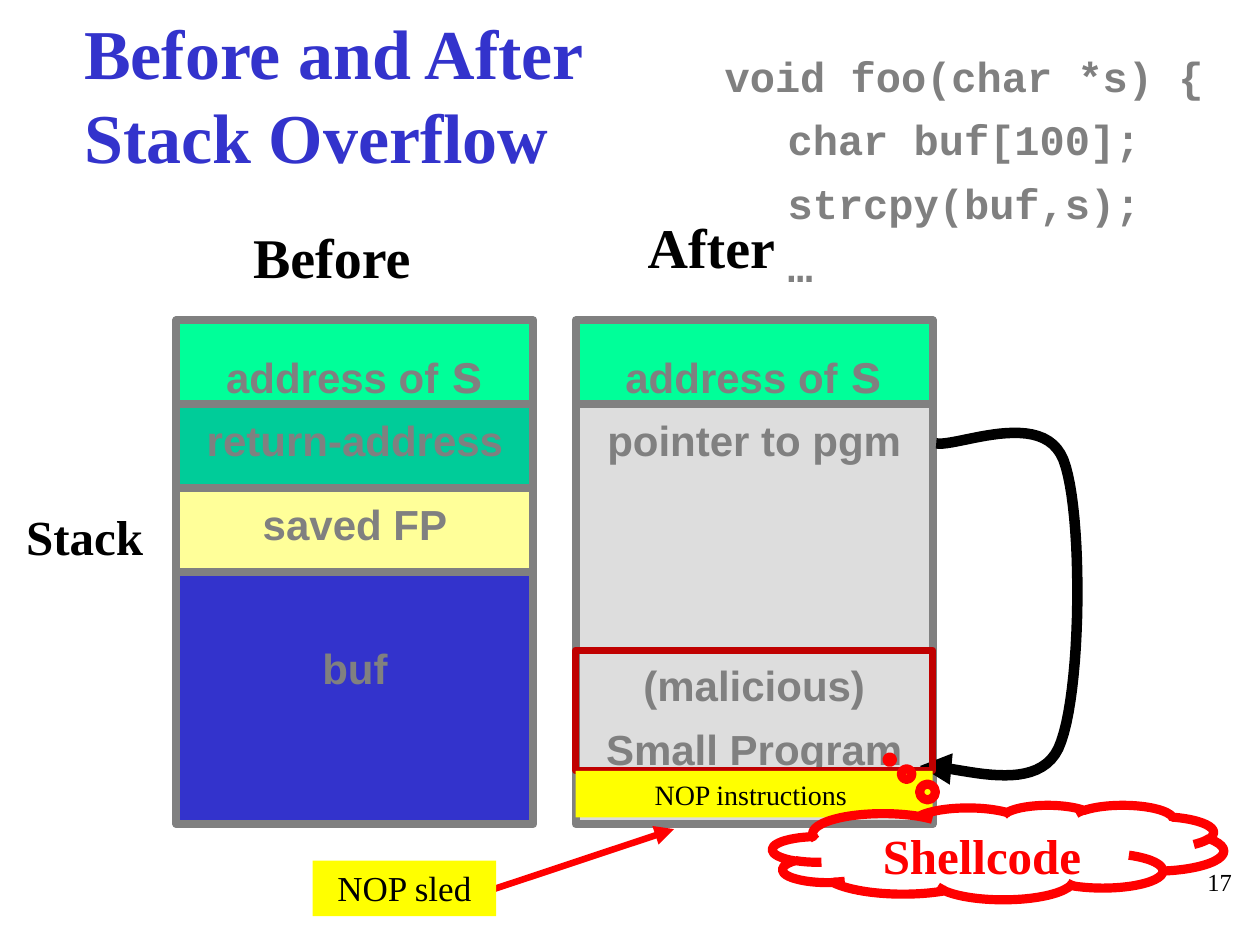
import pptx
import pptx.util
import pptx.dml.color
import pptx.enum.shapes
import pptx.enum.text
import pptx.oxml
import pptx.oxml.ns
import lxml.etree

Pt = pptx.util.Pt
SHAPE = pptx.enum.shapes.MSO_SHAPE
ALIGN = pptx.enum.text.PP_ALIGN
ANCHOR = pptx.enum.text.MSO_ANCHOR
SERIF, SANS, MONO = "Times New Roman", "Arial", "Courier New"
BLACK, GRAY, RED, BLUE, YELLOW = "000000", "808080", "FF0000", "3333CC", "FFFF00"


def rgb(value):
    return pptx.dml.color.RGBColor.from_string(value)


def bezier(p0, p1, p2, p3, steps=24):
    for i in range(1, steps + 1):
        t = i / steps
        u = 1 - t
        yield tuple(u**3 * a + 3 * u * u * t * b + 3 * u * t * t * c + t**3 * d
                    for a, b, c, d in zip(p0, p1, p2, p3))


class Slide:
    def __init__(self, prs, gap=7.3):
        self.s = prs.slides.add_slide(prs.slide_layouts[6])
        self.gap = gap

    def put_text(self, sp, paragraphs, font=SERIF, size=24, color=BLACK, bold=False,
                 align=ALIGN.LEFT, anchor=ANCHOR.TOP, top=3.6, wrap=True, gaps=()):
        tf = sp.text_frame
        tf.word_wrap = wrap
        tf.vertical_anchor = anchor
        tf.margin_top = Pt(top)
        for i, runs in enumerate(paragraphs):
            p = tf.add_paragraph() if i else tf.paragraphs[0]
            p.alignment = align
            if i:
                p.space_before = Pt(gaps[i - 1] if gaps else self.gap)
            for text, *special in runs if isinstance(runs, list) else [(runs,)]:
                r = p.add_run()
                r.text = text
                r.font.name, r.font.size = special or (font, Pt(size))
                r.font.bold = bold
                r.font.color.rgb = rgb(color)

    def text(self, box, paragraphs, **style):
        sp = self.s.shapes.add_textbox(*map(Pt, box))
        self.put_text(sp, paragraphs, **style)

    def shape(self, box, fill=None, line=None, width=4.5, kind=SHAPE.RECTANGLE):
        sp = self.s.shapes.add_shape(kind, *map(Pt, box))
        sp.shadow.inherit = False
        self.paint(sp, fill, line, width)
        return sp

    def paint(self, sp, fill, line, width):
        if fill:
            sp.fill.solid()
            sp.fill.fore_color.rgb = rgb(fill)
        else:
            sp.fill.background()
        if line:
            sp.line.color.rgb = rgb(line)
            sp.line.width = Pt(width)
        else:
            sp.line.fill.background()

    def cell(self, box, fill, paragraphs, top=8, gaps=()):
        sp = self.shape(box, fill, GRAY)
        self.put_text(sp, paragraphs, font=SANS, color=GRAY, bold=True,
                      align=ALIGN.CENTER, top=top, gaps=gaps)

    def label(self, box, text, size):
        self.put_text(self.shape(box, YELLOW), [text], size=size, align=ALIGN.CENTER)

    def arrowhead(self, sp):
        ln = sp.line._get_or_add_ln()
        lxml.etree.SubElement(ln, pptx.oxml.ns.qn("a:tailEnd"), type="triangle")

    def arrow(self, start, end, color, width):
        sp = self.s.shapes.add_connector(
            pptx.enum.shapes.MSO_CONNECTOR.STRAIGHT, *map(Pt, start + end))
        sp.line.color.rgb = rgb(color)
        sp.line.width = Pt(width)
        self.arrowhead(sp)
        lxml.etree.SubElement(sp._element.spPr, pptx.oxml.ns.qn("a:effectLst"))

    def curve(self, points, color, width):
        route = [pt for i in range(0, len(points) - 1, 3) for pt in bezier(*points[i:i + 4])]
        fb = self.s.shapes.build_freeform(*map(Pt, points[0]))
        fb.add_line_segments([tuple(map(Pt, pt)) for pt in route], close=False)
        sp = fb.convert_to_shape()
        sp.shadow.inherit = False
        self.paint(sp, None, color, width)
        self.arrowhead(sp)


def main():
    prs = pptx.Presentation()
    prs.slide_width, prs.slide_height = Pt(720), Pt(540)
    s = Slide(prs)

    s.text((41, 8.6, 348, 90), ["Before and After Stack Overflow"],
           size=40, color=BLUE, bold=True, anchor=ANCHOR.MIDDLE)
    code = ["void foo(char *s) {", "\tchar buf[100];", "\tstrcpy(buf,s);", "\t…"]
    s.put_text(s.shape((407, 21, 288, 140), "FFFFFF"), code, font=MONO,
               color=GRAY, bold=True, top=8, wrap=False)

    before, after, top, width, row = 100.8, 329, 183, 204, 48
    for left in (before, after):
        s.cell((left, top, width, row), "00FF99",
               [[("address of ",), ("s", MONO, Pt(32))]], top=10)
    s.cell((before, top + row, width, row), "00CC99", ["return-address"], top=6)
    s.cell((before, top + 2 * row, width, row), "FFFF99", ["saved FP"], top=6)
    s.cell((before, top + 3 * row, width, 3 * row), BLUE, ["buf"], top=40)
    s.cell((after, top + row, width, 5 * row), "DDDDDD",
           ["pointer to pgm", "(malicious)", "Small Program"], top=6, gaps=(111.3, s.gap))

    s.curve([(535, 253.4), (547, 255.6), (596, 233.3), (607.7, 262.8),
             (619, 291.6), (618.5, 398), (604.8, 427.7),
             (591, 456.5), (542, 435.6), (525.6, 437.8)], BLACK, 6)

    s.text((651, 492, 60, 36), ["17"], size=14, align=ALIGN.RIGHT)
    for box, text, size in (((137.5, 119, 131, 55), "Before", 32),
                            ((363, 113, 131, 55), "After", 32),
                            ((7.9, 279, 89, 55), "Stack", 28)):
        s.text(box, [text], size=size, bold=True, anchor=ANCHOR.MIDDLE)

    s.shape((after, 371.5, width, 69), line="C00000", width=4)
    s.label((after, 440.5, width, 26.6), "NOP instructions ", 16)
    s.arrow((281.5, 508.3), (385.2, 473.8), RED, 3.75)
    s.label((178.6, 491.8, 105, 31.7), "NOP sled", 20)

    cloud = s.shape((441.4, 460, 257.8, 54), line=RED, width=5.25, kind=SHAPE.CLOUD_CALLOUT)
    cloud.adjustments[0], cloud.adjustments[1] = -0.24, -0.98
    s.put_text(cloud, ["Shellcode"], size=28, color=RED, bold=True, align=ALIGN.CENTER)

    prs.save("out.pptx")


if __name__ == "__main__":
    main()
